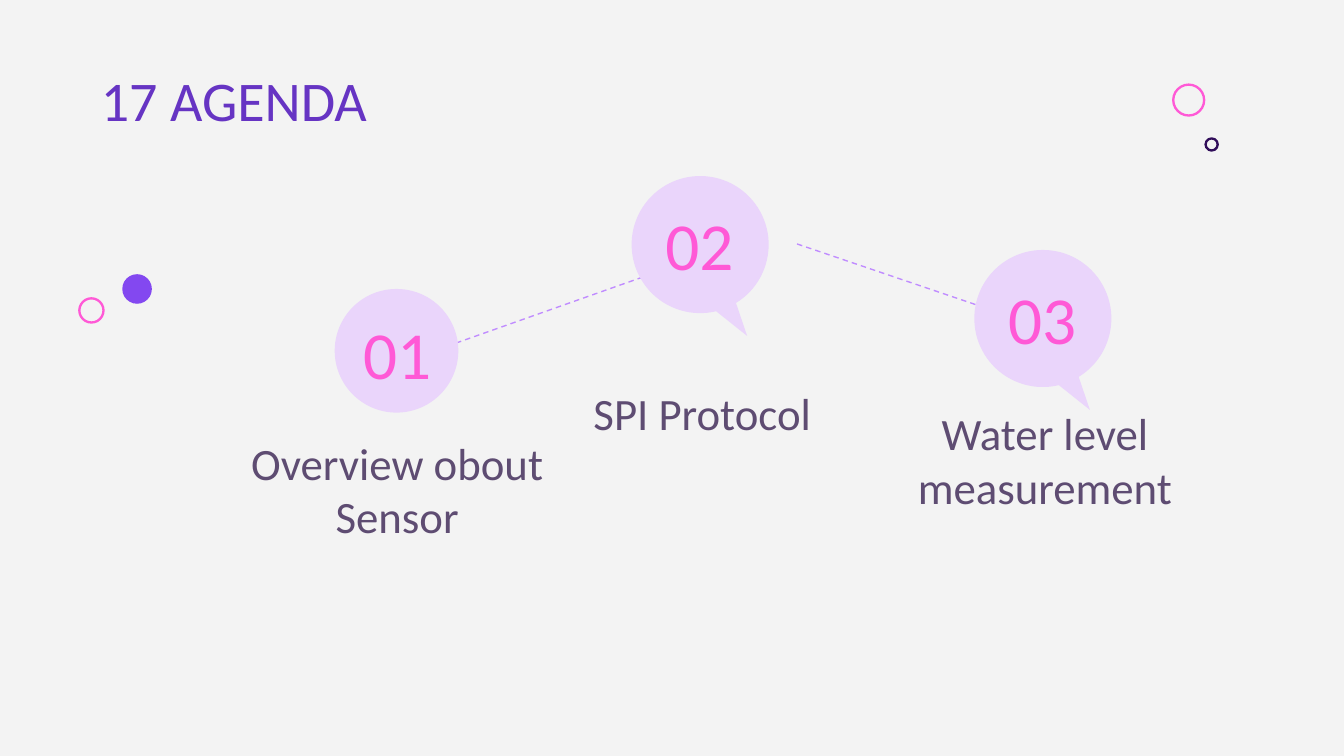
"""Build the agenda slide with three numbered topics."""
from math import atan2, cos, pi, sin

from lxml.etree import SubElement
from pptx import Presentation
from pptx.dml.color import RGBColor
from pptx.enum.dml import MSO_LINE
from pptx.enum.shapes import MSO_CONNECTOR as Connector, MSO_SHAPE as Shape
from pptx.enum.text import MSO_ANCHOR as Anchor, MSO_AUTO_SIZE as AutoSize, PP_ALIGN as Align
from pptx.oxml.ns import qn
from pptx.util import Inches, Pt

FONT = "Calibri"
BACKGROUND = "F3F3F3"
PINK = "FF59D6"
NAVY = "300D59"
VIOLET = "8348F0"
LILAC = "EAD5FB"
DASH = "C08CFF"
HEADING = "6634C3"
BODY = "5E4C72"

CAPTIONS = [
    (1, "Overview obout Sensor", (1.55, 3.21, 2.81, 0.93)),
    (2, "SPI Protocol", (3.71, 2.66, 3.03, 0.71)),
    (3, "Water level measurement", (6.26, 3.21, 3.03, 0.71)),
]


def paint(target, color):
    """Give a fill or background a solid colour."""
    target.solid()
    target.fore_color.rgb = RGBColor.from_string(color)


def write(shape, text, size, color, align=Align.CENTER, anchor=Anchor.MIDDLE):
    """Put one formatted run in a shape."""
    frame = shape.text_frame
    frame.word_wrap = True
    frame.auto_size = AutoSize.NONE
    frame.vertical_anchor = anchor
    frame.margin_left = frame.margin_right = Inches(0.1)
    frame.margin_top = frame.margin_bottom = Inches(0.1)
    paragraph = frame.paragraphs[0]
    paragraph.alignment = align
    paragraph.space_before = Pt(0)
    run = paragraph.add_run()
    run.text = text
    run.font.name = FONT
    run.font.size = Pt(size)
    run.font.bold = False
    run.font.color.rgb = RGBColor.from_string(color)
    return paragraph


def place(shape, box):
    """Move and size a shape."""
    shape.left, shape.top, shape.width, shape.height = map(Inches, box)


def add_caption(shape, text, box):
    """Fill a body placeholder with an unbulleted caption."""
    place(shape, box)
    paragraph = write(shape, text, 24, BODY, anchor=Anchor.BOTTOM)
    properties = paragraph._p.get_or_add_pPr()
    properties.set("marL", "0")
    properties.set("indent", "0")
    SubElement(properties, qn("a:buNone"))


def add_circle(slide, left, top, size, color, ring_width=None):
    """Add a disc, or a ring when a width is given."""
    circle = slide.shapes.add_shape(
        Shape.OVAL, Inches(left), Inches(top), Inches(size), Inches(size))
    circle.shadow.inherit = False
    if ring_width:
        circle.fill.background()
        paint(circle.line.fill, color)
        circle.line.width = Pt(ring_width)
    else:
        paint(circle.fill, color)
        circle.line.fill.background()


def add_bubble(slide, center_x, center_y, radius=0.51):
    """Add a round speech bubble with its tail at the lower right."""
    start = atan2(0.44, 0.27)
    sweep = 2 * pi - (atan2(0.5, 0.12) - start)
    steps = 90
    angles = [start - sweep * step / steps for step in range(steps + 1)]
    offsets = [(radius * cos(angle), radius * sin(angle)) for angle in angles]
    offsets.append((0.35, 0.68))
    points = [(Inches(center_x + x), Inches(center_y + y)) for x, y in offsets]
    builder = slide.shapes.build_freeform(*points[0])
    builder.add_line_segments(points[1:], close=True)
    bubble = builder.convert_to_shape()
    bubble.shadow.inherit = False
    paint(bubble.fill, LILAC)
    bubble.line.fill.background()


def add_number(slide, text, left, top, width):
    """Add a topic number."""
    box = slide.shapes.add_textbox(
        Inches(left), Inches(top), Inches(width), Inches(0.63))
    write(box, text, 36, PINK)
    return box


def add_dashed_line(slide, start, end):
    """Add a thin dashed connector."""
    line = slide.shapes.add_connector(
        Connector.STRAIGHT, *map(Inches, start + end))
    paint(line.line.fill, DASH)
    line.line.width = Pt(0.75)
    line.line.dash_style = MSO_LINE.DASH
    SubElement(line._element.spPr, qn("a:effectLst"))
    return line


def main():
    """Build and save the slide."""
    presentation = Presentation()
    presentation.slide_width = Inches(10)
    presentation.slide_height = Inches(10 * 9 / 16)
    slide = presentation.slides.add_slide(presentation.slide_layouts.get_by_name("Comparison"))
    paint(slide.background.fill, BACKGROUND)

    title = slide.shapes.title
    place(title, (0.65, 0.39, 7.36, 0.71))
    write(title, "17 AGENDA", 30, HEADING, Align.LEFT, Anchor.TOP)
    bodies = {shape.placeholder_format.idx: shape for shape in slide.placeholders}
    for index, text, box in CAPTIONS:
        add_caption(bodies[index], text, box)
    spare = bodies[4]._element
    spare.getparent().remove(spare)

    add_circle(slide, 8.73, 0.63, 0.23, PINK, 1.25)
    add_circle(slide, 8.97, 1.03, 0.09, NAVY, 1.25)
    add_circle(slide, 0.91, 2.04, 0.22, VIOLET)
    add_circle(slide, 0.59, 2.22, 0.18, PINK, 1.25)

    add_dashed_line(slide, (2.92, 2.72), (5.24, 1.9))
    add_circle(slide, 2.49, 2.15, 0.92, LILAC)
    add_bubble(slide, 5.21, 1.82)
    add_number(slide, "01", 2.56, 2.31, 0.79)
    second = add_number(slide, "02", 4.48, 1.5, 1.45)
    line = add_dashed_line(slide, (5.93, 1.81), (7.8, 2.45))
    line.begin_connect(second, 3)
    add_bubble(slide, 7.76, 2.37)
    add_number(slide, "03", 7.03, 2.05, 1.45)
    presentation.save("out.pptx")


if __name__ == "__main__":
    main()
